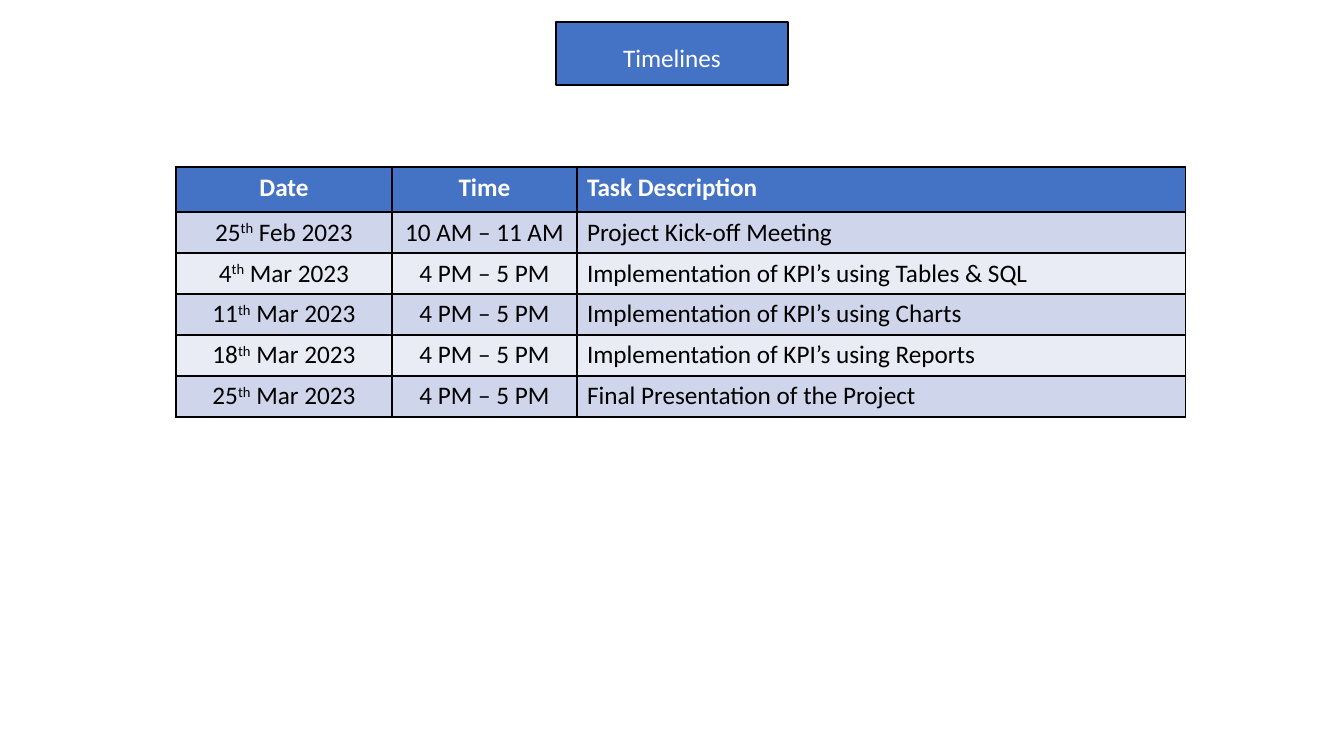
import dataclasses

import pptx
import pptx.dml.color
import pptx.enum.text
import pptx.oxml
import pptx.oxml.ns
import pptx.util

BLUE = pptx.dml.color.RGBColor(0x44, 0x72, 0xC4)
BAND_DARK = pptx.dml.color.RGBColor(0xCF, 0xD5, 0xEA)
BAND_LIGHT = pptx.dml.color.RGBColor(0xE9, 0xEB, 0xF5)
WHITE = pptx.dml.color.RGBColor(0xFF, 0xFF, 0xFF)
BLACK = pptx.dml.color.RGBColor(0x00, 0x00, 0x00)

EMU_PER_PX = 914400 / 100.8
FONT = "Calibri"
CENTER = pptx.enum.text.PP_ALIGN.CENTER
LEFT = pptx.enum.text.PP_ALIGN.LEFT

COLUMN_WIDTHS = (216, 185, 609)
ALIGNMENTS = (CENTER, CENTER, LEFT)
HEADER_HEIGHT = 45
ROW_HEIGHT = 41
HEADINGS = ("Date", "Time", "Task Description")


@dataclasses.dataclass(frozen=True)
class Milestone:
    day: str
    month: str
    task: str
    time: str = "4 PM – 5 PM"


MILESTONES = (
    Milestone("25", "Feb", "Project Kick-off Meeting", "10 AM – 11 AM"),
    Milestone("4", "Mar", "Implementation of KPI’s using Tables & SQL"),
    Milestone("11", "Mar", "Implementation of KPI’s using Charts"),
    Milestone("18", "Mar", "Implementation of KPI’s using Reports"),
    Milestone("25", "Mar", "Final Presentation of the Project"),
)


def px(length: int) -> pptx.util.Emu:
    return pptx.util.Emu(round(length * EMU_PER_PX))


def add_run(paragraph, text: str, color, bold: bool = False, raised: bool = False) -> None:
    run = paragraph.add_run()
    run.text = text
    run.font.name = FONT
    run.font.size = pptx.util.Pt(18)
    run.font.bold = bold
    run.font.color.rgb = color
    if raised:
        run.font._element.set("baseline", "30000")


def border_cell(cell) -> None:
    """Put a 1 pt black line on all four sides, ahead of the cell's fill."""
    properties = cell._tc.get_or_add_tcPr()
    for position, side in enumerate(("lnL", "lnR", "lnT", "lnB")):
        border = pptx.oxml.parse_xml(
            f'<a:{side} {pptx.oxml.ns.nsdecls("a")} w="12700"><a:solidFill>'
            f'<a:srgbClr val="{BLACK}"/></a:solidFill></a:{side}>'
        )
        properties.insert(position, border)


def format_cell(cell, fill, alignment):
    """Fill and border the cell, and return its paragraph."""
    cell.fill.solid()
    cell.fill.fore_color.rgb = fill
    border_cell(cell)
    paragraph = cell.text_frame.paragraphs[0]
    paragraph.alignment = alignment
    return paragraph


def format_title(title) -> None:
    title.left, title.top = px(556), px(22)
    title.width, title.height = px(232), px(63)
    title.fill.solid()
    title.fill.fore_color.rgb = BLUE
    title.line.color.rgb = BLACK
    title.line.width = pptx.util.Pt(1)
    frame = title.text_frame
    frame.auto_size = pptx.enum.text.MSO_AUTO_SIZE.NONE
    frame.vertical_anchor = pptx.enum.text.MSO_ANCHOR.TOP
    heading = frame.paragraphs[0]
    heading.alignment = CENTER
    heading.line_spacing = 1.5
    add_run(heading, "Timelines", WHITE)


def add_schedule(slide) -> None:
    height = HEADER_HEIGHT + ROW_HEIGHT * len(MILESTONES)
    schedule = slide.shapes.add_table(
        len(MILESTONES) + 1, len(HEADINGS),
        px(176), px(167), px(sum(COLUMN_WIDTHS)), px(height),
    ).table
    for column, width in zip(schedule.columns, COLUMN_WIDTHS):
        column.width = px(width)
    for index, row in enumerate(schedule.rows):
        row.height = px(ROW_HEIGHT if index else HEADER_HEIGHT)

    for column, (heading, alignment) in enumerate(zip(HEADINGS, ALIGNMENTS)):
        paragraph = format_cell(schedule.cell(0, column), BLUE, alignment)
        add_run(paragraph, heading, WHITE, bold=True)

    for row, milestone in enumerate(MILESTONES, start=1):
        band = BAND_DARK if row % 2 else BAND_LIGHT
        date, time, task = (
            format_cell(schedule.cell(row, column), band, alignment)
            for column, alignment in enumerate(ALIGNMENTS)
        )
        add_run(date, milestone.day, BLACK)
        add_run(date, "th", BLACK, raised=True)
        add_run(date, f" {milestone.month} 2023", BLACK)
        add_run(time, milestone.time, BLACK)
        add_run(task, milestone.task, BLACK)


def main() -> None:
    presentation = pptx.Presentation()
    presentation.slide_width, presentation.slide_height = px(1344), px(756)
    title_only = presentation.slide_layouts[5]
    slide = presentation.slides.add_slide(title_only)
    add_schedule(slide)
    format_title(slide.shapes.title)
    presentation.save("out.pptx")


if __name__ == "__main__":
    main()
